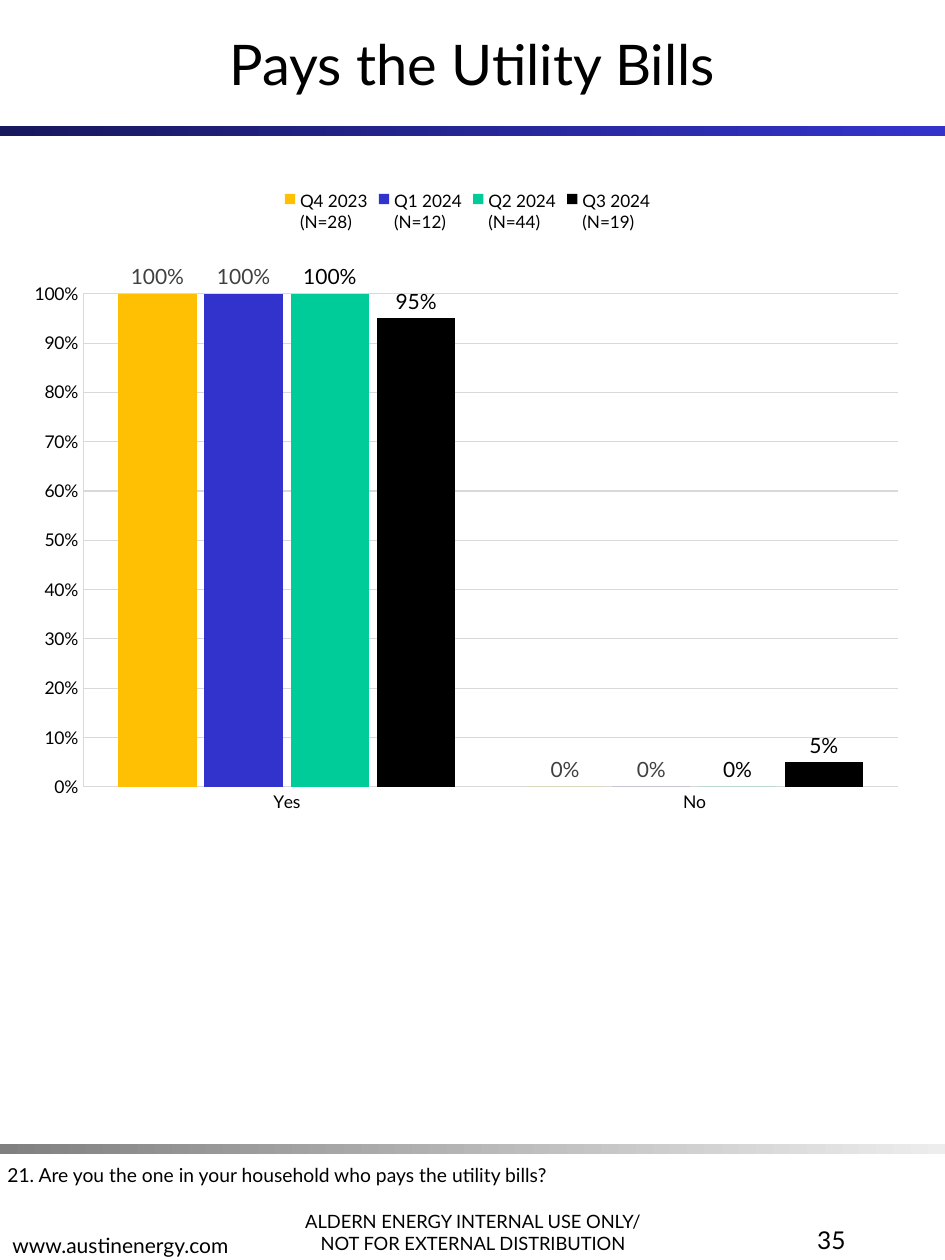
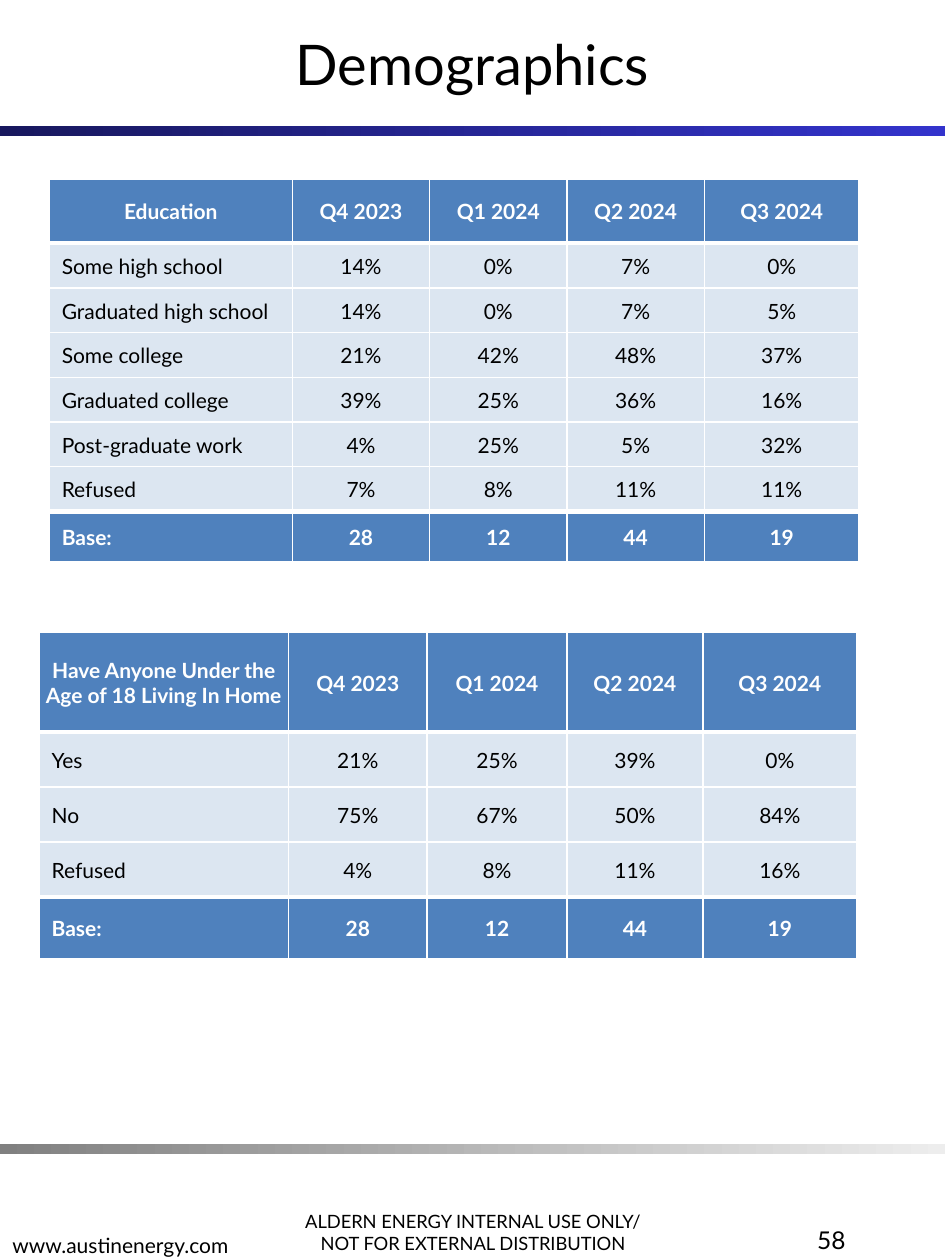
from lxml.etree import SubElement, fromstring
from pptx import Presentation
from pptx.chart.data import CategoryChartData
from pptx.dml.color import RGBColor
from pptx.enum.chart import XL_CHART_TYPE, XL_LABEL_POSITION, XL_LEGEND_POSITION, XL_TICK_MARK
from pptx.enum.shapes import MSO_SHAPE
from pptx.enum.text import MSO_ANCHOR, MSO_AUTO_SIZE, PP_ALIGN
from pptx.oxml.ns import qn
from pptx.util import Inches, Pt

FONT = "Lato"
BLACK = RGBColor(0x00, 0x00, 0x00)
WHITE = RGBColor(0xFF, 0xFF, 0xFF)
NAVY = RGBColor(0x18, 0x18, 0x5E)
BLUE = RGBColor(0x33, 0x33, 0xCC)
GRAY = RGBColor(0x80, 0x80, 0x80)
PALE_GRAY = RGBColor(0xED, 0xED, 0xED)
GRID_GRAY = RGBColor(0xD9, 0xD9, 0xD9)
LABEL_GRAY = RGBColor(0x40, 0x40, 0x40)
HEADER_BLUE = RGBColor(0x4F, 0x81, 0xBD)
BODY_BLUE = RGBColor(0xDC, 0xE6, 0xF1)
AMBER = RGBColor(0xFF, 0xC0, 0x03)
QUARTER_BLUE = RGBColor(0x32, 0x33, 0xCC)
GREEN = RGBColor(0x00, 0xCC, 0x9A)

WIDTH, HEIGHT = 7.5, 10
BAND_HEIGHT = 0.08
BANDS = [(1, NAVY, BLUE), (9.08, GRAY, PALE_GRAY)]
NOTICE = ["ALDERN ENERGY INTERNAL USE ONLY/", "NOT FOR EXTERNAL DISTRIBUTION"]
WEBSITE = "www.austinenergy.com"

QUARTERS = ["Q4 2023", "Q1 2024", "Q2 2024", "Q3 2024"]
BASES = [28, 12, 44, 19]
QUARTER_COLORS = [AMBER, QUARTER_BLUE, GREEN, BLACK]
LABEL_COLORS = [LABEL_GRAY, LABEL_GRAY, BLACK, BLACK]

BILLS = {
    "title": "Pays the Utility Bills",
    "page": 35,
    "question": "21. Are you the one in your household who pays the utility bills?",
    "answers": ["Yes", "No"],
    "shares": [(1, 0), (1, 0), (1, 0), (0.95, 0.05)],
    "place": (0.17, 1.4, 7.08, 5.15),
    "plot": {"x": 0.069, "y": 0.181, "w": 0.914, "h": 0.76},
}

DEMOGRAPHICS = {
    "title": "Demographics",
    "page": 58,
    "tables": [
        {
            "topic": "Education",
            "place": (0.39, 1.42, 3.04),
            "columns": [1.93, 1.09, 1.09, 1.09, 1.23],
            "ends": (0.51, 0.4),
            "answers": [
                ("Some high school", 14, 0, 7, 0),
                ("Graduated high school", 14, 0, 7, 5),
                ("Some college", 21, 42, 48, 37),
                ("Graduated college", 39, 25, 36, 16),
                ("Post-graduate work", 4, 25, 5, 32),
                ("Refused", 7, 8, 11, 11),
            ],
        },
        {
            "topic": "Have Anyone Under the Age of 18 Living In Home",
            "place": (0.31, 5.02, 2.59),
            "columns": [1.98, 1.1, 1.11, 1.08, 1.22],
            "ends": (0.79, 0.49),
            "answers": [
                ("Yes", 21, 25, 39, 0),
                ("No", 75, 67, 50, 84),
                ("Refused", 4, 8, 11, 16),
            ],
        },
    ],
}


def style_font(font, size, color=BLACK, bold=False):
    font.name = FONT
    font.size = Pt(size)
    font.bold = bold
    font.color.rgb = color


def add_run(paragraph, text, size, color=BLACK, bold=False):
    run = paragraph.add_run()
    run.text = text
    style_font(run.font, size, color, bold)


def add_text(slide, place, lines, size, align=PP_ALIGN.LEFT, anchor=MSO_ANCHOR.TOP):
    frame = slide.shapes.add_textbox(*map(Inches, place)).text_frame
    frame.word_wrap = True
    frame.vertical_anchor = anchor
    for index, line in enumerate(lines):
        paragraph = frame.add_paragraph() if index else frame.paragraphs[0]
        paragraph.alignment = align
        add_run(paragraph, line, size)
    return frame


def add_page(deck, content):
    slide = deck.slides.add_slide(deck.slide_layouts[6])
    for top, start, end in BANDS:
        band = slide.shapes.add_shape(
            MSO_SHAPE.RECTANGLE, 0, Inches(top), Inches(WIDTH), Inches(BAND_HEIGHT))
        band.shadow.inherit = False
        band.line.fill.background()
        band.fill.gradient()
        band.fill.gradient_angle = 0
        for stop, color in zip(band.fill.gradient_stops, (start, end)):
            stop.color.rgb = color
    add_text(slide, (2.16, 9.33, 3.19, 0.67), NOTICE, 10.5, PP_ALIGN.CENTER, MSO_ANCHOR.BOTTOM)
    add_text(slide, (0, 9.36, 3.19, 0.67), [WEBSITE], 12, anchor=MSO_ANCHOR.BOTTOM)
    add_text(slide, (0, 0, WIDTH, 1), [content["title"]], 32, PP_ALIGN.CENTER, MSO_ANCHOR.MIDDLE)
    add_text(slide, (5.25, 9.67, 1.56, 0.67), [str(content["page"])], 14, PP_ALIGN.RIGHT)
    return slide


def style_line(line, width):
    line.color.rgb = GRID_GRAY
    line.width = Pt(width)


def place_plot(chart, plot):
    area = chart.plots[0]._element.getparent()
    for old in area.findall(qn("c:layout")):
        area.remove(old)
    layout = fromstring(f'<c:layout xmlns:c="{area.nsmap["c"]}"><c:manualLayout/></c:layout>')
    settings = {"layoutTarget": "inner", "xMode": "edge", "yMode": "edge", **plot}
    for tag, value in settings.items():
        SubElement(layout[0], qn(f"c:{tag}")).set("val", str(value))
    area.insert(0, layout)


def add_bills_chart(slide):
    data = CategoryChartData(number_format="0%")
    data.categories = BILLS["answers"]
    for quarter, base, shares in zip(QUARTERS, BASES, BILLS["shares"]):
        data.add_series(f"{quarter}\n(N={base})", shares)
    chart = slide.shapes.add_chart(
        XL_CHART_TYPE.COLUMN_CLUSTERED, *map(Inches, BILLS["place"]), data).chart
    style_font(chart.font, 10)
    chart.has_title = False
    chart.has_legend = True
    chart.legend.position = XL_LEGEND_POSITION.TOP
    chart.legend.include_in_layout = False
    style_font(chart.legend.font, 9.8)

    for axis, width in ((chart.category_axis, 0.62), (chart.value_axis, 0.41)):
        axis.major_tick_mark = axis.minor_tick_mark = XL_TICK_MARK.NONE
        style_font(axis.tick_labels.font, 10)
        style_line(axis.format.line, width)
    percent = chart.value_axis
    percent.minimum_scale, percent.maximum_scale, percent.major_unit = 0, 1, 0.1
    percent.tick_labels.number_format = "0%"
    percent.tick_labels.number_format_is_linked = False
    style_line(percent.major_gridlines.format.line, 0.62)

    columns = chart.plots[0]
    columns.vary_by_categories = False
    columns.gap_width, columns.overlap = 90, -10
    for series, color, label_color in zip(columns.series, QUARTER_COLORS, LABEL_COLORS):
        series.format.fill.solid()
        series.format.fill.fore_color.rgb = color
        labels = series.data_labels
        labels.show_value = True
        labels.number_format = "0%"
        labels.number_format_is_linked = False
        labels.position = XL_LABEL_POSITION.OUTSIDE_END
        style_font(labels.font, 12, label_color)
    place_plot(chart, BILLS["plot"])


def add_borders(cell, top, bottom):
    properties = cell._tc.get_or_add_tcPr()
    for side, width in (("L", 1), ("R", 1), ("T", top), ("B", bottom)):
        border = SubElement(properties, qn(f"a:ln{side}"), w=str(Pt(width)))
        fill = SubElement(border, qn("a:solidFill"))
        SubElement(fill, qn("a:srgbClr"), val=str(WHITE))


def add_survey_table(slide, survey):
    rows = [(survey["topic"], *QUARTERS)]
    rows += [(answer, *(f"{share}%" for share in shares)) for answer, *shares in survey["answers"]]
    rows.append(("Base:", *map(str, BASES)))
    last = len(rows) - 1
    left, top, height = survey["place"]
    header, base = survey["ends"]
    body = (height - header - base) / len(survey["answers"])
    table = slide.shapes.add_table(
        len(rows), len(survey["columns"]), Inches(left), Inches(top),
        Inches(sum(survey["columns"])), Inches(height)).table
    table.horz_banding = False
    for column, width in zip(table.columns, survey["columns"]):
        column.width = Inches(width)
    for r, texts in enumerate(rows):
        table.rows[r].height = Inches({0: header, last: base}.get(r, body))
        strong = r in (0, last)
        for c, text in enumerate(texts):
            cell = table.cell(r, c)
            answer_name = c == 0 and r > 0
            cell.margin_left = Inches(0.1 if answer_name else 0.01)
            cell.margin_right = cell.margin_top = Inches(0.01)
            cell.margin_bottom = 0
            cell.vertical_anchor = MSO_ANCHOR.MIDDLE
            add_borders(cell, 3 if r in (1, last) else 1, 3 if r in (0, last - 1) else 1)
            cell.fill.solid()
            cell.fill.fore_color.rgb = HEADER_BLUE if strong else BODY_BLUE
            paragraph = cell.text_frame.paragraphs[0]
            paragraph.alignment = PP_ALIGN.LEFT if answer_name else PP_ALIGN.CENTER
            add_run(paragraph, text, 12, WHITE if strong else BLACK, strong)


def main():
    deck = Presentation()
    deck.slide_width, deck.slide_height = Inches(WIDTH), Inches(HEIGHT)

    bills = add_page(deck, BILLS)
    question = add_text(bills, (-0.04, 9.18, 6.85, 0.29), [BILLS["question"]], 11)
    question.auto_size = MSO_AUTO_SIZE.SHAPE_TO_FIT_TEXT
    add_bills_chart(bills)

    demographics = add_page(deck, DEMOGRAPHICS)
    for survey in DEMOGRAPHICS["tables"]:
        add_survey_table(demographics, survey)

    deck.save("out.pptx")


if __name__ == "__main__":
    main()
